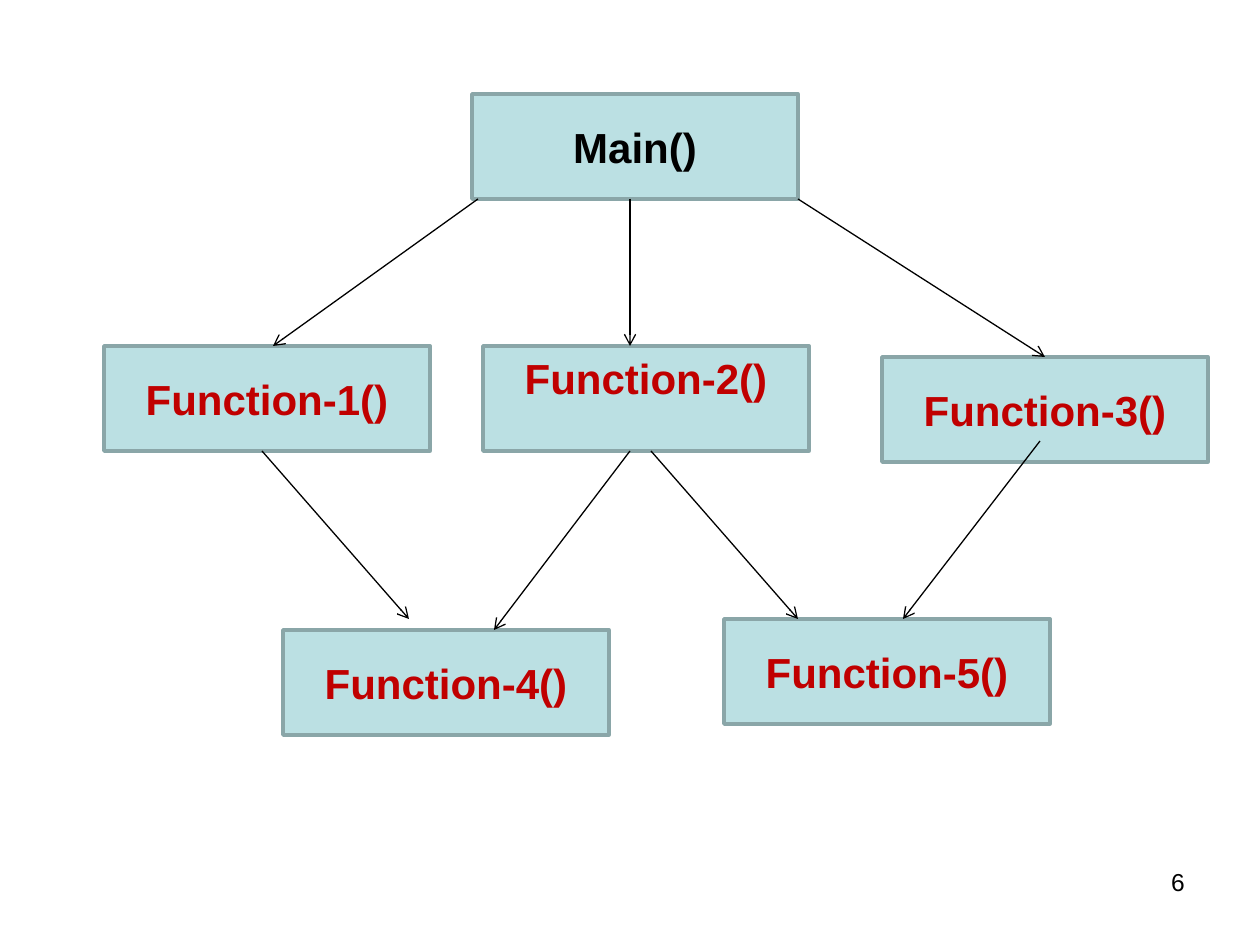
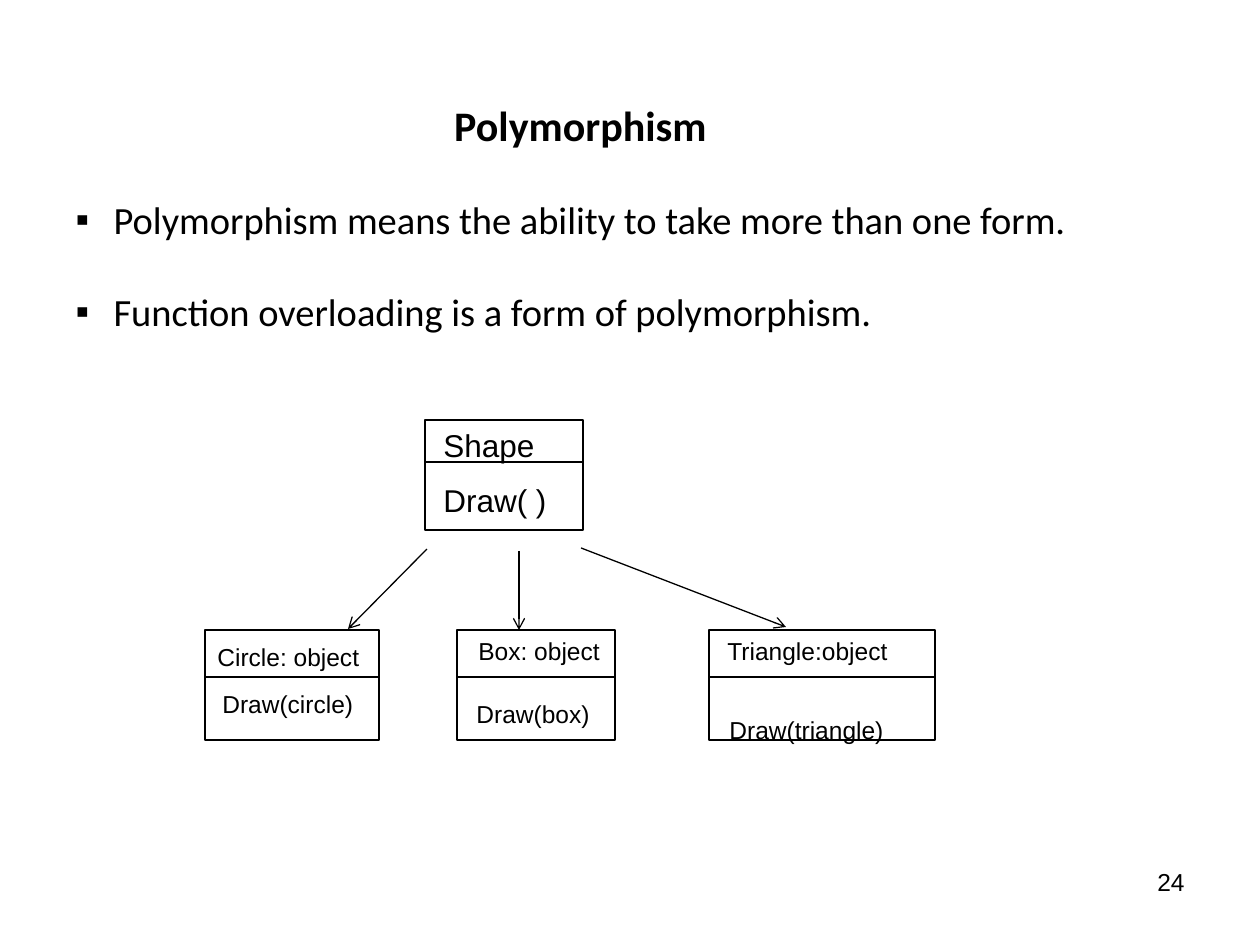
import pptx
import pptx.util
import pptx.dml.color
import pptx.enum.shapes
import pptx.enum.text
import pptx.oxml.ns
import lxml.etree

PX_PER_INCH = 126
COLORS = {"black": "000000", "white": "FFFFFF", "box": "BBE0E3",
          "border": "8AA6A8", "function": "C00000"}
ALIGN = pptx.enum.text.PP_ALIGN
ANCHOR = pptx.enum.text.MSO_ANCHOR
RECTANGLE = pptx.enum.shapes.MSO_SHAPE.RECTANGLE
STRAIGHT = pptx.enum.shapes.MSO_CONNECTOR.STRAIGHT
TOP = 0


def px(n):
    return pptx.util.Emu(round(n * 914400 / PX_PER_INCH))


def rgb(name):
    return pptx.dml.color.RGBColor.from_string(COLORS[name])


def add_xml(parent, tag, **attrs):
    return lxml.etree.SubElement(parent, pptx.oxml.ns.qn(tag), attrs)


def place(sp, x, y, w, h):
    sp.left, sp.top, sp.width, sp.height = px(x), px(y), px(w), px(h)


def write(p, text, size, color="black", bold=False, font="Arial", align=ALIGN.LEFT):
    p.alignment = align
    r = p.add_run()
    r.text = text
    r.font.size = pptx.util.Pt(size)
    r.font.name = font
    r.font.bold = bold
    r.font.color.rgb = rgb(color)


def add_rect(slide, x, y, w, h, fill, border, weight):
    sp = slide.shapes.add_shape(RECTANGLE, px(x), px(y), px(w), px(h))
    sp.shadow.inherit = False
    sp.fill.solid()
    sp.fill.fore_color.rgb = rgb(fill)
    sp.line.color.rgb = rgb(border)
    sp.line.width = pptx.util.Pt(weight)
    return sp


def add_line(slide, x1, y1, x2, y2, arrow=False):
    line = slide.shapes.add_connector(STRAIGHT, px(x1), px(y1), px(x2), px(y2))
    line.line.color.rgb = rgb("black")
    line.line.width = pptx.util.Pt(0.75)
    if arrow:
        add_xml(line.line._get_or_add_ln(), "a:tailEnd", type="arrow")
    add_xml(line._element.spPr, "a:effectLst")
    return line


def add_label(slide, text, x, y, w, h=42, size=14, align=ALIGN.LEFT, anchor=ANCHOR.MIDDLE):
    tf = slide.shapes.add_textbox(px(x), px(y), px(w), px(h)).text_frame
    tf.word_wrap = True
    tf.vertical_anchor = anchor
    write(tf.paragraphs[0], text, size, align=align)


def add_slide_number(slide, number):
    add_label(slide, str(number), 903, 861, 294, 66, align=ALIGN.RIGHT, anchor=ANCHOR.TOP)


def add_function_box(slide, name, x, y, color="function", anchor=ANCHOR.MIDDLE):
    sp = add_rect(slide, x, y, 326, 105, "box", "border", 2)
    sp.text_frame.vertical_anchor = anchor
    write(sp.text_frame.paragraphs[0], name, 24, color, True, align=ALIGN.CENTER)
    return sp


def add_class_box(slide, x, y, w, divider):
    add_rect(slide, x, y, w, 110, "white", "black", 0.75)
    add_line(slide, x, y + divider, x + w, y + divider)


def set_title(slide, text):
    sp = slide.shapes.title
    place(sp, 63, 95, 1035, 60)
    sp.text_frame.vertical_anchor = ANCHOR.MIDDLE
    write(sp.text_frame.paragraphs[0], text, 24, bold=True, font="Calibri", align=ALIGN.CENTER)


def set_bullets(slide, items):
    sp = slide.placeholders[1]
    place(sp, 63, 190, 1043, 170)
    tf = sp.text_frame
    tf.auto_size = pptx.enum.text.MSO_AUTO_SIZE.NONE
    for i, item in enumerate(items):
        p = tf.paragraphs[0] if i == 0 else tf.add_paragraph()
        write(p, item, 22, font="Calibri")
        p.space_before = pptx.util.Pt(0)
        p.space_after = pptx.util.Pt(26)
        ppr = p._p.get_or_add_pPr()
        ppr.set("marL", str(px(38)))
        ppr.set("indent", str(px(-38)))
        add_xml(ppr, "a:buFont", typeface="Arial")
        add_xml(ppr, "a:buChar", char="▪")


def build_function_calls(prs):
    slide = prs.slides.add_slide(prs.slide_layouts[6])
    add_slide_number(slide, 6)

    # Functions
    add_function_box(slide, "Main()", 472, 94, "black")
    add_function_box(slide, "Function-1()", 104, 346)
    add_function_box(slide, "Function-5()", 724, 619)
    add_function_box(slide, "Function-4()", 283, 630)
    add_function_box(slide, "Function-2()", 483, 346, anchor=ANCHOR.TOP)
    function_3 = add_function_box(slide, "Function-3()", 882, 357)

    # Calls from Main()
    add_line(slide, 630, 199, 630, 346, True)
    add_line(slide, 478, 199, 273, 346, True)
    add_line(slide, 798, 199, 1045, 357, True).end_connect(function_3, TOP)

    # Calls between functions
    for ends in [(262, 451, 409, 619), (630, 451, 494, 630),
                 (651, 451, 798, 619), (1040, 441, 903, 619)]:
        add_line(slide, *ends, arrow=True)


def build_polymorphism(prs):
    slide = prs.slides.add_slide(prs.slide_layouts[1])
    add_slide_number(slide, 24)
    set_title(slide, "Polymorphism")
    set_bullets(slide, ["Polymorphism means the ability to take more than one form.",
                        "Function overloading is a form of polymorphism."])

    # Base class and its objects
    add_class_box(slide, 425, 420, 158, 42)
    for x, w in [(205, 174), (457, 158), (709, 226)]:
        add_class_box(slide, x, 630, w, 47)

    # Arrows to the objects
    for ends in [(427, 549, 348, 629), (519, 551, 519, 630), (581, 548, 786, 627)]:
        add_line(slide, *ends, arrow=True)

    # Names and methods
    add_label(slide, "Shape", 431, 420, 125, 50, 18)
    add_label(slide, "Draw( )", 431, 475, 129, 50, 18)
    for text, x, y, w in [("Circle: object", 205, 636, 174), ("Draw(circle)", 210, 683, 163),
                          ("Box: object", 466, 630, 154), ("Draw(box)", 464, 693, 145),
                          ("Triangle:object", 715, 630, 200),
                          ("Draw(triangle)", 717, 709, 185)]:
        add_label(slide, text, x, y, w)


def main():
    prs = pptx.Presentation()
    prs.slide_width, prs.slide_height = px(1260), px(945)
    build_function_calls(prs)
    build_polymorphism(prs)
    prs.save("out.pptx")


if __name__ == "__main__":
    main()
